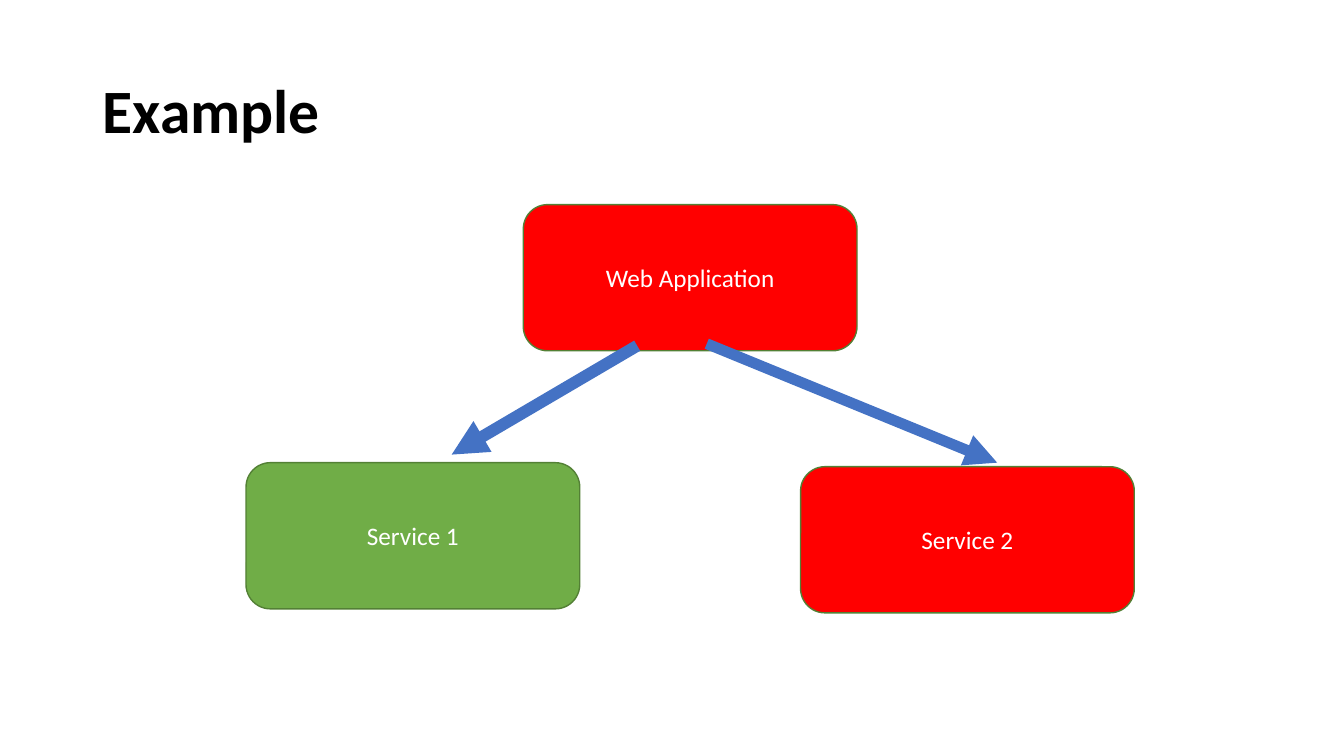
from dataclasses import dataclass

from pptx import Presentation
from pptx import util as u
from pptx.dml.color import RGBColor
from pptx.enum import shapes, text
from pptx.oxml.ns import qn
from lxml import etree


@dataclass(frozen=True)
class Theme:
    font: str = "Calibri"
    title_size: float = 44
    box_size: float = 18
    title_color: str = "000000"
    box_text: str = "FFFFFF"
    failing: str = "FF0000"
    healthy: str = "70AD47"
    outline: str = "538035"
    arrow: str = "4472C4"


THEME = Theme()
BOX_WIDTH, BOX_HEIGHT = 3.31, 1.45


def rgb(color):
    return RGBColor.from_string(color)


def write_text(shape, content, *, size, color, bold=False,
               align=text.PP_ALIGN.LEFT, line_spacing=1.0):
    frame = shape.text_frame
    frame.word_wrap = True
    frame.vertical_anchor = text.MSO_ANCHOR.MIDDLE
    paragraph = frame.paragraphs[0]
    paragraph.alignment = align
    paragraph.line_spacing = line_spacing
    run = paragraph.add_run()
    run.text = content
    run.font.name = THEME.font
    run.font.size = u.Pt(size)
    run.font.bold = bold
    run.font.color.rgb = rgb(color)


def add_title(slide, content):
    title = slide.shapes.add_textbox(
        u.Inches(0.92), u.Inches(0.4), u.Inches(11.5), u.Inches(1.45))
    write_text(title, content, size=THEME.title_size,
               color=THEME.title_color, bold=True, line_spacing=0.9)


def add_component(slide, label, left, top, fill):
    box = slide.shapes.add_shape(
        shapes.MSO_SHAPE.ROUNDED_RECTANGLE, u.Inches(left), u.Inches(top),
        u.Inches(BOX_WIDTH), u.Inches(BOX_HEIGHT))
    box.shadow.inherit = False
    box.fill.solid()
    box.fill.fore_color.rgb = rgb(fill)
    box.line.color.rgb = rgb(THEME.outline)
    box.line.width = u.Pt(1)
    write_text(box, label, size=THEME.box_size, color=THEME.box_text,
               align=text.PP_ALIGN.CENTER)


def add_arrow(slide, start, end, width):
    arrow = slide.shapes.add_connector(
        shapes.MSO_CONNECTOR.STRAIGHT,
        *(u.Inches(value) for value in (*start, *end)))
    arrow.line.color.rgb = rgb(THEME.arrow)
    arrow.line.width = u.Pt(width)
    etree.SubElement(arrow.line._get_or_add_ln(), qn("a:tailEnd"), type="triangle")
    etree.SubElement(arrow._element.spPr, qn("a:effectLst"))


def main():
    presentation = Presentation()
    presentation.slide_width = u.Inches(13.33)
    presentation.slide_height = u.Inches(7.5)
    slide = presentation.slides.add_slide(presentation.slide_layouts[6])

    add_title(slide, "Example")
    add_component(slide, "Web Application", 5.19, 2.03, THEME.failing)
    add_component(slide, "Service 1", 2.44, 4.59, THEME.healthy)
    add_component(slide, "Service 2", 7.94, 4.63, THEME.failing)
    add_arrow(slide, (6.32, 3.43), (4.48, 4.51), 8.5)
    add_arrow(slide, (7.01, 3.41), (9.89, 4.59), 7.75)

    presentation.save("out.pptx")


main()
